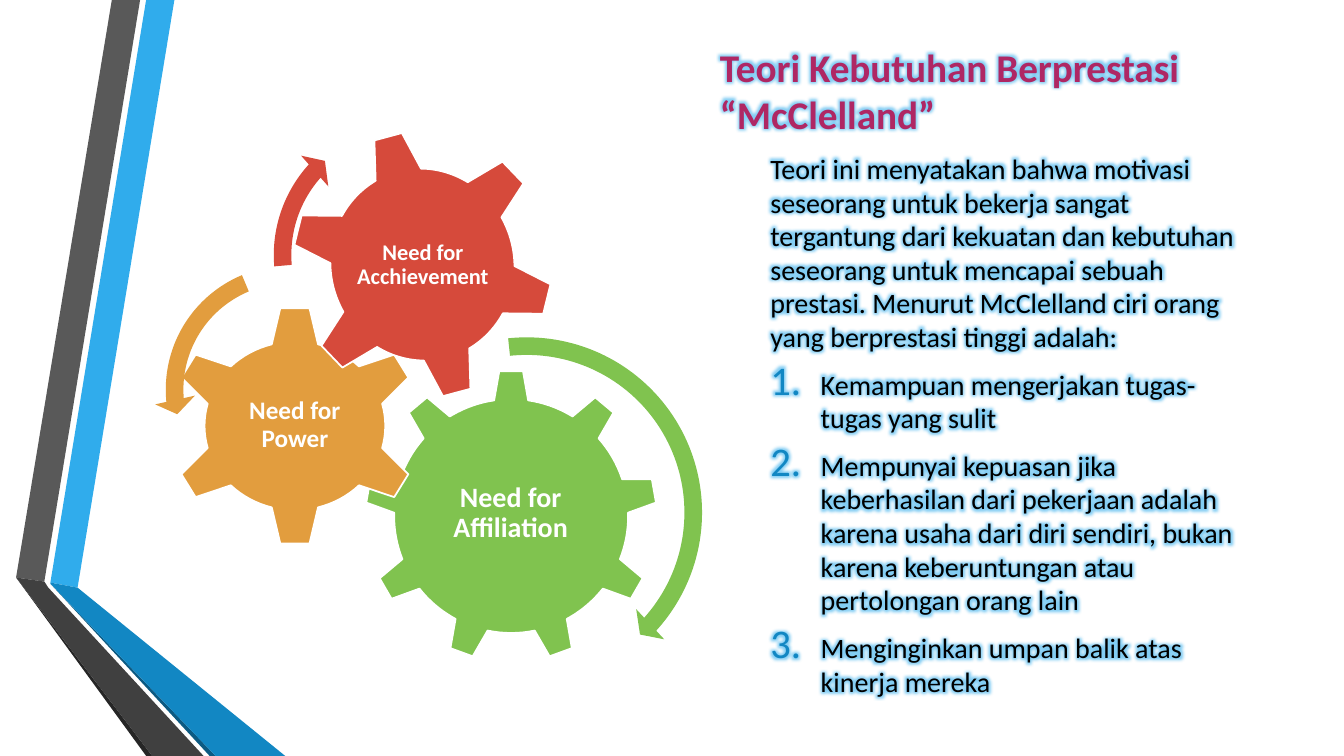
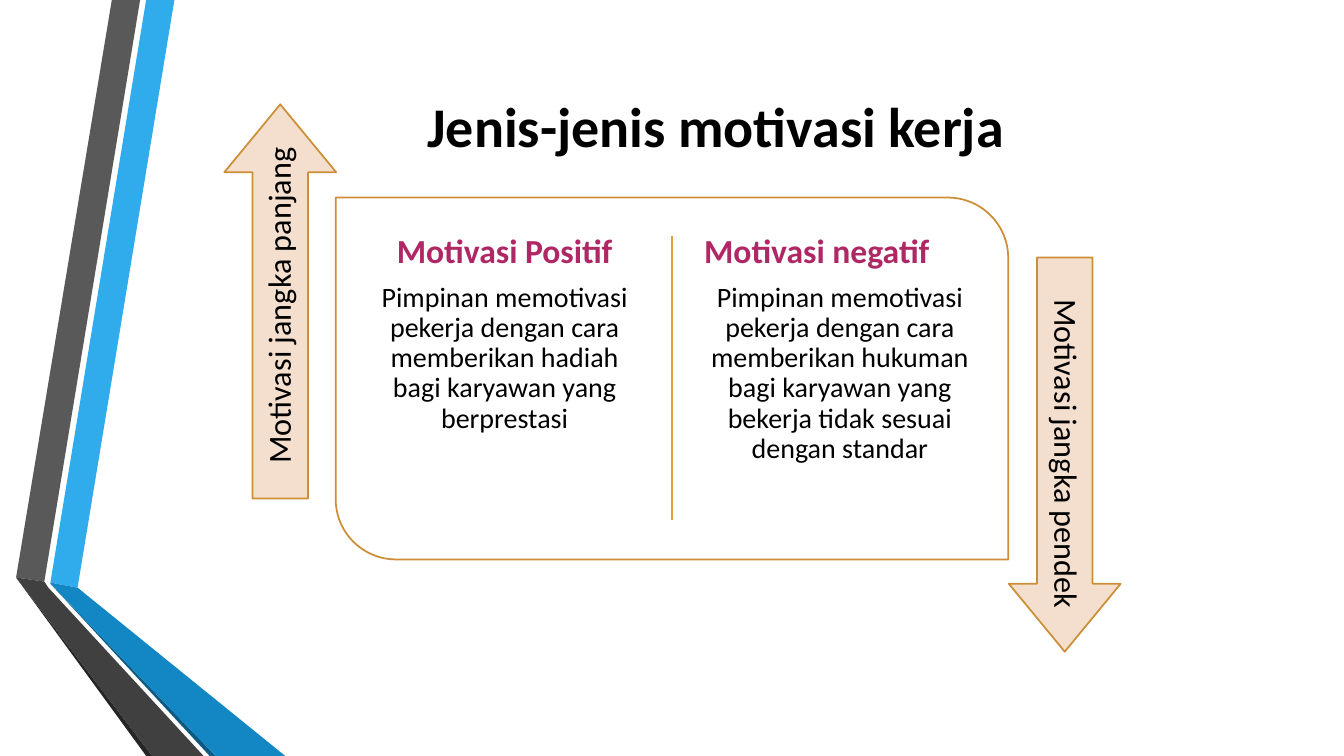
import pptx
import pptx.util
import pptx.dml.color
import pptx.enum.shapes
import pptx.enum.text
import pptx.oxml
import pptx.oxml.ns
from pptx.util import Inches, Pt

SHAPE = pptx.enum.shapes.MSO_SHAPE
ALIGN = pptx.enum.text.PP_ALIGN
ANCHOR = pptx.enum.text.MSO_ANCHOR
FONT = "Calibri"
COLORS = {
    "white": "FFFFFF", "black": "000000", "accent": "AF2764",
    "sky": "30ACEC", "blue": "1287C3", "navy": "0C5A82",
    "gray": "595959", "charcoal": "404040", "shadow": "262626",
    "green": "80C34F", "orange": "E29D3E", "red": "D64A3B",
    "bronze": "CD8E38", "peach": "F4DFCE",
}
RIBBONS = [
    ("sky", [(0.5, 5.78), (0.77, 5.83), (1.73, 0), (1.45, 0)]),
    ("gray", [(1.39, 0), (1.11, 0), (0.16, 5.73), (0.44, 5.77)]),
    ("shadow", [(0.16, 5.73), (1.45, 7.5), (1.51, 7.5)]),
    ("navy", [(0.5, 5.79), (2.08, 7.5), (2.14, 7.5)]),
    ("blue", [(0.5, 5.79), (2.14, 7.5), (2.83, 7.5), (0.77, 5.83), (0.5, 5.78)]),
    ("charcoal", [(2.02, 7.5), (0.48, 5.83), (0.44, 5.77), (0.16, 5.73), (1.51, 7.5)]),
]


def rgb(color):
    return pptx.dml.color.RGBColor.from_string(COLORS[color])


def xml(markup):
    namespace = pptx.oxml.ns.nsdecls("a")
    return pptx.oxml.parse_xml(markup.replace(">", f" {namespace}>", 1)
                               if "/>" not in markup.split(">")[0] + ">"
                               else markup.replace("/>", f" {namespace}/>", 1))


def inches(box):
    return [Inches(value) for value in box]


def paint(shape, fill, line=None):
    shape.shadow.inherit = False
    shape.fill.solid()
    shape.fill.fore_color.rgb = rgb(fill)
    if line:
        shape.line.color.rgb = rgb(line)
        shape.line.width = Pt(1.25)
    else:
        shape.line.fill.background()


def add_preset(slide, kind, box, fill, line=None, adjustments=(), rotation=0):
    shape = slide.shapes.add_shape(kind, *inches(box))
    for index, value in enumerate(adjustments):
        shape.adjustments[index] = value
    shape.rotation = rotation
    paint(shape, fill, line)


def style(paragraph, size, color, bold=False, align=None):
    paragraph.alignment = align
    for run in paragraph.runs:
        run.font.name = FONT
        run.font.size = Pt(size)
        run.font.bold = bold
        run.font.color.rgb = rgb(color)


def add_label(slide, box, lines, anchor=ANCHOR.MIDDLE, inset=0.1, rotation=0):
    """Add a text box; each line is (text, size, color, bold, alignment)."""
    label = slide.shapes.add_textbox(*inches(box))
    label.rotation = rotation
    frame = label.text_frame
    frame.word_wrap = True
    frame.vertical_anchor = anchor
    frame.margin_left = frame.margin_right = Inches(inset)
    frame.margin_top = frame.margin_bottom = Inches(inset)
    frame.text = "\n".join(line[0] for line in lines)
    for paragraph, (_, size, *look) in zip(frame.paragraphs, lines):
        style(paragraph, size, *look)
        paragraph.line_spacing = 0.9
        paragraph.space_after = Pt(0.35 * size)


def place_placeholder(placeholder, box, text):
    placeholder.left, placeholder.top, placeholder.width, placeholder.height = inches(box)
    frame = placeholder.text_frame
    frame.text = text
    frame.word_wrap = True
    frame.auto_size = pptx.enum.text.MSO_AUTO_SIZE.NONE
    frame.vertical_anchor = ANCHOR.MIDDLE
    return frame


def add_ribbons(master, slide):
    """Outline the folded ribbons on the slide, then move them to the master."""
    tree = master.element.cSld.spTree
    for index, (color, points) in enumerate(RIBBONS):
        start, *rest = [inches(point) for point in points]
        builder = slide.shapes.build_freeform(*start)
        builder.add_line_segments(rest, close=True)
        ribbon = builder.convert_to_shape()
        paint(ribbon, color)
        ribbon.element.nvSpPr.cNvPr.set("id", str(100 + index))
        tree.insert(2 + index, ribbon.element)


def indent(paragraph, margin, hanging, *bullet):
    properties = paragraph._p.get_or_add_pPr()
    properties.set("marL", str(Inches(margin)))
    properties.set("indent", str(Inches(hanging)))
    for markup in bullet:
        properties.append(xml(markup))


def add_glow(run):
    run.font._element.find(pptx.oxml.ns.qn("a:latin")).addprevious(xml(
        f'<a:effectLst><a:glow rad="101600"><a:srgbClr val="{COLORS["sky"]}">'
        '<a:alpha val="60000"/></a:srgbClr></a:glow></a:effectLst>'))


def theory_list(slide, box):
    heading = "Teori Kebutuhan Berprestasi “McClelland”"
    intro = ("Teori ini menyatakan bahwa motivasi seseorang untuk bekerja sangat "
             "tergantung dari kekuatan dan kebutuhan seseorang untuk mencapai sebuah "
             "prestasi. Menurut McClelland ciri orang yang berprestasi tinggi adalah:")
    traits = ["Kemampuan mengerjakan tugas-tugas yang sulit",
              "Mempunyai kepuasan jika keberhasilan dari pekerjaan adalah karena usaha "
              "dari diri sendiri, bukan karena keberuntungan atau pertolongan orang lain",
              "Menginginkan umpan balik atas kinerja mereka"]
    frame = place_placeholder(slide.placeholders[1], box,
                              "\n".join([heading, intro, *traits]))
    for index, paragraph in enumerate(frame.paragraphs):
        paragraph.space_after = Pt(6)
        if index == 0:
            style(paragraph, 28, "accent", True)
            indent(paragraph, 0, 0, "<a:buNone/>")
        else:
            paragraph.level = 1
            style(paragraph, 20, "black")
            if index == 1:
                indent(paragraph, 0.5, 0, "<a:buNone/>")
            else:
                indent(paragraph, 1, -0.5,
                       f'<a:buClr><a:srgbClr val="{COLORS["blue"]}"/></a:buClr>',
                       '<a:buSzPct val="145000"/>',
                       f'<a:buFont typeface="{FONT}"/>',
                       '<a:buAutoNum type="arabicPeriod"/>')
        for run in paragraph.runs:
            add_glow(run)


def need_gears(slide, left, top):
    gears = [
        (SHAPE.GEAR_9, (2.09, 2.59, 2.9, 2.9), 0, "green",
         "Need for Affiliation", 20, (2.67, 3.27, 1.73, 1.49)),
        (SHAPE.GEAR_6, (0.14, 1.95, 2.51, 2.39), 0, "orange",
         "Need for Power", 18, (0.76, 2.55, 1.27, 1.18)),
        (SHAPE.GEAR_6, (1.36, 0.2, 2.6, 2.69), 345, "red",
         "Need for Acchievement", 16, (1.93, 0.8, 1.47, 1.5)),
    ]
    turns = [
        (SHAPE.CIRCULAR_ARROW, (1.84, 2.15, 3.71), "green",
         (0.047, 2.99, 25.293, 158.334, 0.055)),
        (SHAPE.LEFT_CIRCULAR_ARROW, (0, 1.44, 2.69), "orange",
         (0.065, 4.3, 104.891, 148.378, 0.075)),
        (SHAPE.CIRCULAR_ARROW, (1.07, 0, 2.9), "red",
         (0.06, 3.941, 133.138, 105.082, 0.07)),
    ]
    for kind, (x, y, *size), rotation, color, need, points, (tx, ty, *text_size) in gears:
        add_preset(slide, kind, (left + x, top + y, *size), color, "white",
                   rotation=rotation)
        add_label(slide, (left + tx, top + ty, *text_size),
                  [(need, points, "white", True, ALIGN.CENTER)], inset=0.03)
    for kind, (x, y, side), color, adjustments in turns:
        add_preset(slide, kind, (left + x, top + y, side, side), color,
                   adjustments=adjustments)


def comparison_card(slide, box):
    left, top, width, height = box
    middle = left + width / 2
    add_preset(slide, SHAPE.ROUND_2_DIAG_RECTANGLE, box, "white", "bronze", (0, 0.167))
    divider = slide.shapes.add_connector(
        pptx.enum.shapes.MSO_CONNECTOR.STRAIGHT,
        *inches((middle, top + 0.38, middle, top + height - 0.39)))
    divider.line.color.rgb = rgb("orange")
    divider.line.width = Pt(1.25)
    divider._element.spPr.append(xml("<a:effectLst/>"))
    columns = [
        (left + 0.23, "Motivasi Positif", ALIGN.CENTER,
         "Pimpinan memotivasi pekerja dengan cara memberikan hadiah "
         "bagi karyawan yang berprestasi"),
        (middle + 0.22, "Motivasi negatif", ALIGN.LEFT,
         "Pimpinan memotivasi pekerja dengan cara memberikan hukuman "
         "bagi karyawan yang bekerja tidak sesuai dengan standar"),
    ]
    for x, heading, align, description in columns:
        add_label(slide, (x, top + 0.27, 2.89, 3.04),
                  [(heading, 24, "accent", True, align),
                   (description, 20, "black", False, ALIGN.CENTER)], ANCHOR.TOP)


def term_arrow(slide, center_x, center_y, rotation, text):
    """Draw a vertical arrow whose label starts at its tail."""
    length, breadth, text_length, text_height = 3.91, 1.11, 3.58, 0.55
    toward_tail = (length - text_length) / 2 * (1 if rotation == 270 else -1)
    add_preset(slide, SHAPE.RIGHT_ARROW,
               (center_x - length / 2, center_y - breadth / 2, length, breadth),
               "peach", "bronze", (0.498, 0.607), rotation)
    add_label(slide, (center_x - text_length / 2,
                      center_y + toward_tail - text_height / 2,
                      text_length, text_height),
              [(text, 23, "black", False, ALIGN.RIGHT)], rotation=rotation)


def theory_slide(slide):
    title = slide.shapes.title.element
    title.getparent().remove(title)
    theory_list(slide, (7.04, 0.54, 5.38, 6.27))
    need_gears(slide, 1.53, 1.08)


def kinds_slide(slide):
    frame = place_placeholder(slide.shapes.title, (1.62, 0.75, 10.96, 0.99),
                              "Jenis-jenis motivasi kerja")
    style(frame.paragraphs[0], 40, "black", True, ALIGN.CENTER)
    comparison_card(slide, (3.33, 1.96, 6.67, 3.59))
    term_arrow(slide, 2.78, 2.99, 270, "Motivasi jangka panjang")
    term_arrow(slide, 10.56, 4.51, 90, "Motivasi jangka pendek")


def main():
    deck = pptx.Presentation()
    deck.slide_width, deck.slide_height = inches((13.33, 7.5))
    theory = deck.slides.add_slide(deck.slide_layouts[1])
    add_ribbons(deck.slide_master, theory)
    theory_slide(theory)
    kinds_slide(deck.slides.add_slide(deck.slide_layouts[5]))
    deck.save("out.pptx")


if __name__ == "__main__":
    main()
